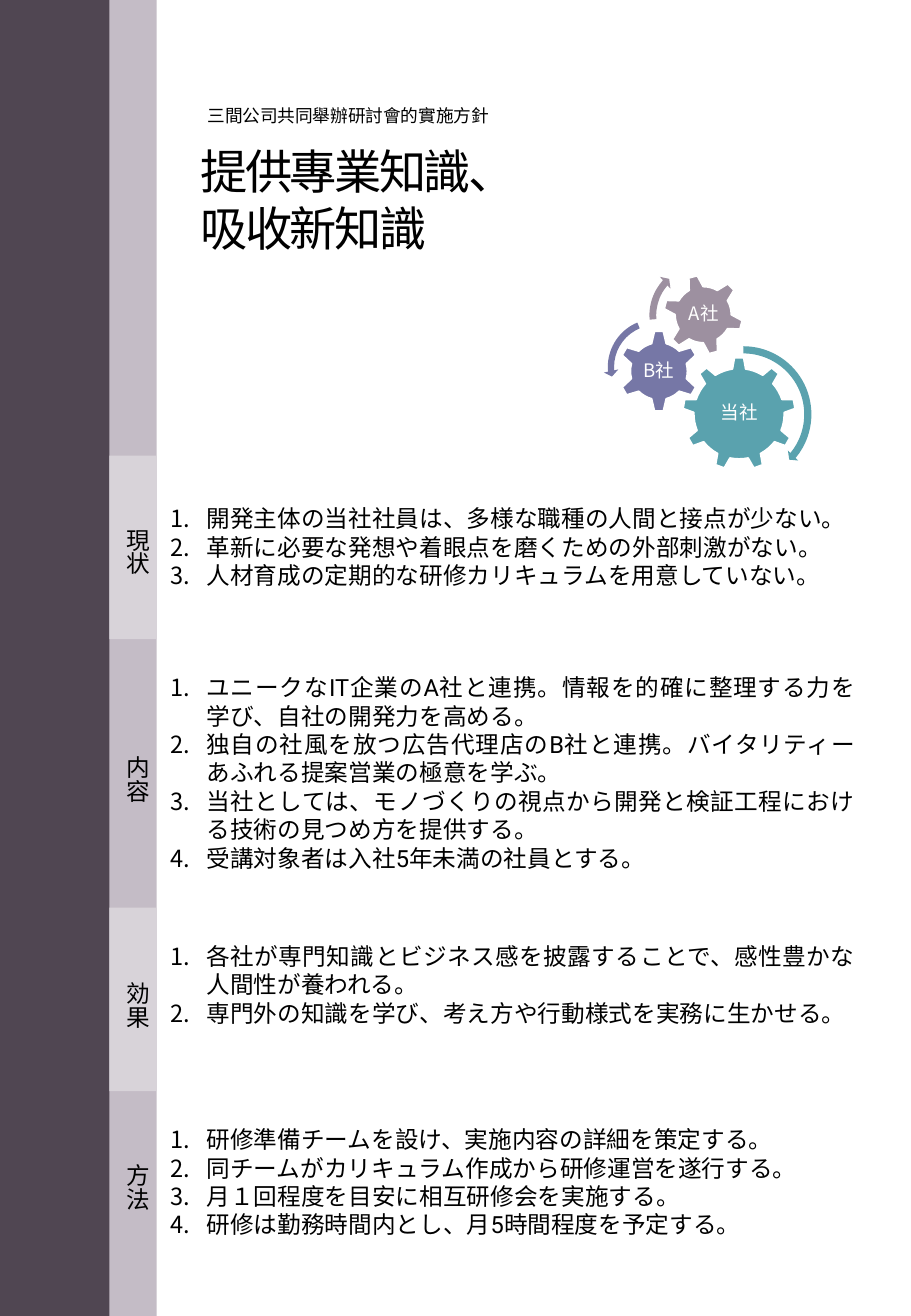
"""Build the one-page plan for a seminar run jointly by three companies."""
from dataclasses import dataclass
from typing import Any

from lxml import etree
from pptx import Presentation
from pptx import util as u
from pptx.dml.color import RGBColor
from pptx.enum import shapes, text
from pptx.oxml.ns import qn

COLOURS = {
    "dark": "504652", "strip": "C4BCC6", "band": "D8D3D9", "black": "000000",
    "white": "FFFFFF", "teal": "5AA2AE", "indigo": "7677A6", "mauve": "9D90A0",
}
CJK = "Noto Sans CJK JP"
LATIN = "Roboto"
KIND = shapes.MSO_SHAPE
Area = tuple[float, float, float, float]


@dataclass
class Section:
    """A labelled numbered list."""
    label: str
    label_top: float
    top: float
    height: float
    items: list[str]


@dataclass
class Gear:
    """A gear with its label and circling arrow."""
    label: str
    colour: str
    kind: Any
    area: Area
    rotation: float
    label_area: Area
    arrow: Any
    arrow_area: Area
    adjustments: list[float]


SECTIONS = [
    Section("現状", 4.25, 4.1, 0.81, [
        "開発主体の当社社員は、多様な職種の人間と接点が少ない。",
        "革新に必要な発想や着眼点を磨くための外部刺激がない。",
        "人材育成の定期的な研修カリキュラムを用意していない。",
    ]),
    Section("内容", 6.12, 5.49, 1.75, [
        "ユニークなIT企業のA社と連携。情報を的確に整理する力を学び、自社の開発力を高める。",
        "独自の社風を放つ広告代理店のB社と連携。バイタリティーあふれる提案営業の極意を学ぶ。",
        "当社としては、モノづくりの視点から開発と検証工程における技術の見つめ方を提供する。",
        "受講対象者は入社5年未満の社員とする。",
    ]),
    Section("効果", 7.98, 7.7, 0.81, [
        "各社が専門知識とビジネス感を披露することで、感性豊かな人間性が養われる。",
        "専門外の知識を学び、考え方や行動様式を実務に生かせる。",
    ]),
    Section("方法", 9.48, 9.21, 1.04, [
        "研修準備チームを設け、実施内容の詳細を策定する。",
        "同チームがカリキュラム作成から研修運営を遂行する。",
        "月１回程度を目安に相互研修会を実施する。",
        "研修は勤務時間内とし、月5時間程度を予定する。",
    ]),
]
GEARS = [
    Gear("当社", "teal", KIND.GEAR_9, (5.62, 2.94, 0.93, 0.93), 0,
         (5.81, 3.16, 0.55, 0.48), KIND.CIRCULAR_ARROW,
         (5.53, 2.82, 1.18, 1.18), [0.05, 2.99, 23.77, 162.03, 0.05]),
    Gear("B社", "indigo", KIND.GEAR_6, (5.09, 2.72, 0.67, 0.67), 0,
         (5.26, 2.89, 0.33, 0.33), KIND.LEFT_CIRCULAR_ARROW,
         (4.97, 2.59, 0.86, 0.86), [0.06, 4.3, 104.89, 148.38, 0.07]),
    Gear("A社", "mauve", KIND.GEAR_6, (5.46, 2.26, 0.66, 0.66), 345,
         (5.61, 2.4, 0.37, 0.37), KIND.CIRCULAR_ARROW,
         (5.31, 2.13, 0.93, 0.93), [0.06, 3.94, 133.14, 105.08, 0.07]),
]


def colour(name: str) -> RGBColor:
    """Look up a named colour."""
    return RGBColor.from_string(COLOURS[name])


def inches(area: Area) -> list[u.Length]:
    """Turn an area into lengths."""
    return [u.Inches(value) for value in area]


def place(box: Any, area: Area) -> None:
    """Move and size a placeholder."""
    box.left, box.top, box.width, box.height = inches(area)


def set_margins(box: Any, side: float, end: float) -> None:
    """Set the inner margins of a box."""
    frame = box.text_frame
    frame.margin_left = frame.margin_right = u.Inches(side)
    frame.margin_top = frame.margin_bottom = u.Inches(end)


def write(box: Any, words: str, size: float, align: Any, spacing: Any = None,
          ink: str = "black", font: str = LATIN, anchor: Any = text.MSO_ANCHOR.TOP) -> None:
    """Fill a box with formatted text."""
    frame = box.text_frame
    frame.text = words
    frame.word_wrap = True
    frame.vertical_anchor = anchor
    for para in frame.paragraphs:
        para.alignment = align
        para.space_before = u.Pt(0)
        para.line_spacing = spacing
        for span in para.runs:
            span.font.size = u.Pt(size)
            span.font.bold = False
            span.font.color.rgb = colour(ink)
            span.font.name = font
            etree.SubElement(span.font._element, qn("a:ea"), typeface=CJK)


def add_shape(owner: Any, kind: Any, area: Area, fill: str, outline: bool = False) -> Any:
    """Draw a filled preset shape."""
    shape = owner.shapes.add_shape(kind, *inches(area))
    shape.shadow.inherit = False
    shape.fill.solid()
    shape.fill.fore_color.rgb = colour(fill)
    if outline:
        shape.line.color.rgb = colour("white")
        shape.line.width = u.Pt(1)
    else:
        shape.line.fill.background()
    return shape


def add_title(page: Any) -> None:
    """Write the heading and the line above it."""
    title = page.shapes.title
    place(title, (1.61, 1.13, 4.66, 1.02))
    set_margins(title, 0.04, 0.04)
    write(title, "提供專業知識、\v吸收新知識", 28, text.PP_ALIGN.LEFT, u.Pt(33.8),
          font=CJK, anchor=text.MSO_ANCHOR.MIDDLE)
    for span in title.text_frame.paragraphs[0].runs:
        span.font._element.set("spc", "-150")
    box = page.shapes.add_textbox(*inches((1.61, 0.81, 3.09, 0.28)))
    write(box, "三間公司共同舉辦研討會的實施方針", 10.5, text.PP_ALIGN.LEFT, u.Pt(12.8))


def add_section(page: Any, body: Any, section: Section) -> None:
    """Write a numbered list and its vertical label."""
    place(body, (1.3, section.top, 5.84, section.height))
    set_margins(body, 0.1, 0.05)
    write(body, "\n".join(section.items), 14, text.PP_ALIGN.JUSTIFY, u.Pt(16.8))
    body.text_frame.auto_size = text.MSO_AUTO_SIZE.SHAPE_TO_FIT_TEXT
    for para in body.text_frame.paragraphs:
        properties = para._p.get_or_add_pPr()
        properties.set("marL", str(u.Inches(0.3)))
        properties.set("indent", str(u.Inches(-0.3)))
        etree.SubElement(properties, qn("a:buFont"), typeface=LATIN)
        etree.SubElement(properties, qn("a:buAutoNum"), type="arabicPeriod")
    label = page.shapes.add_textbox(*inches((0.86, section.label_top, 0.44, 0.49)))
    write(label, section.label, 14, text.PP_ALIGN.JUSTIFY, u.Pt(16.8))
    label.text_frame.word_wrap = False
    label.text_frame.auto_size = text.MSO_AUTO_SIZE.SHAPE_TO_FIT_TEXT
    label.text_frame._txBody.bodyPr.set("vert", "eaVert")


def add_gears(page: Any) -> None:
    """Draw the group of meshing gears."""
    group = page.shapes.add_group_shape()
    for gear in GEARS:
        add_shape(group, gear.kind, gear.area, gear.colour, True).rotation = gear.rotation
        label = group.shapes.add_textbox(*inches(gear.label_area))
        set_margins(label, 0.02, 0.02)
        write(label, gear.label, 11, text.PP_ALIGN.CENTER, 0.9, "white", CJK,
              text.MSO_ANCHOR.MIDDLE)
    for gear in GEARS:
        arrow = add_shape(group, gear.arrow, gear.arrow_area, gear.colour)
        for index, value in enumerate(gear.adjustments):
            arrow.adjustments[index] = value


def main() -> None:
    """Build and save the deck."""
    deck = Presentation()
    deck.slide_width, deck.slide_height = u.Inches(7.5), u.Inches(10.83)
    page = deck.slides.add_slide(deck.slide_layouts.get_by_name("Comparison"))
    bodies = list(page.placeholders)[1:]
    add_shape(page, KIND.RECTANGLE, (0, 0, 0.91, 10.83), "dark")
    add_shape(page, KIND.RECTANGLE, (0.9, 0, 0.39, 10.83), "strip")
    for top in (3.75, 7.47):
        add_shape(page, KIND.RECTANGLE, (0.9, top, 0.39, 1.51), "band")
    add_title(page)
    for body, section in zip(bodies, SECTIONS):
        add_section(page, body, section)
    add_gears(page)
    deck.save("out.pptx")


if __name__ == "__main__":
    main()
